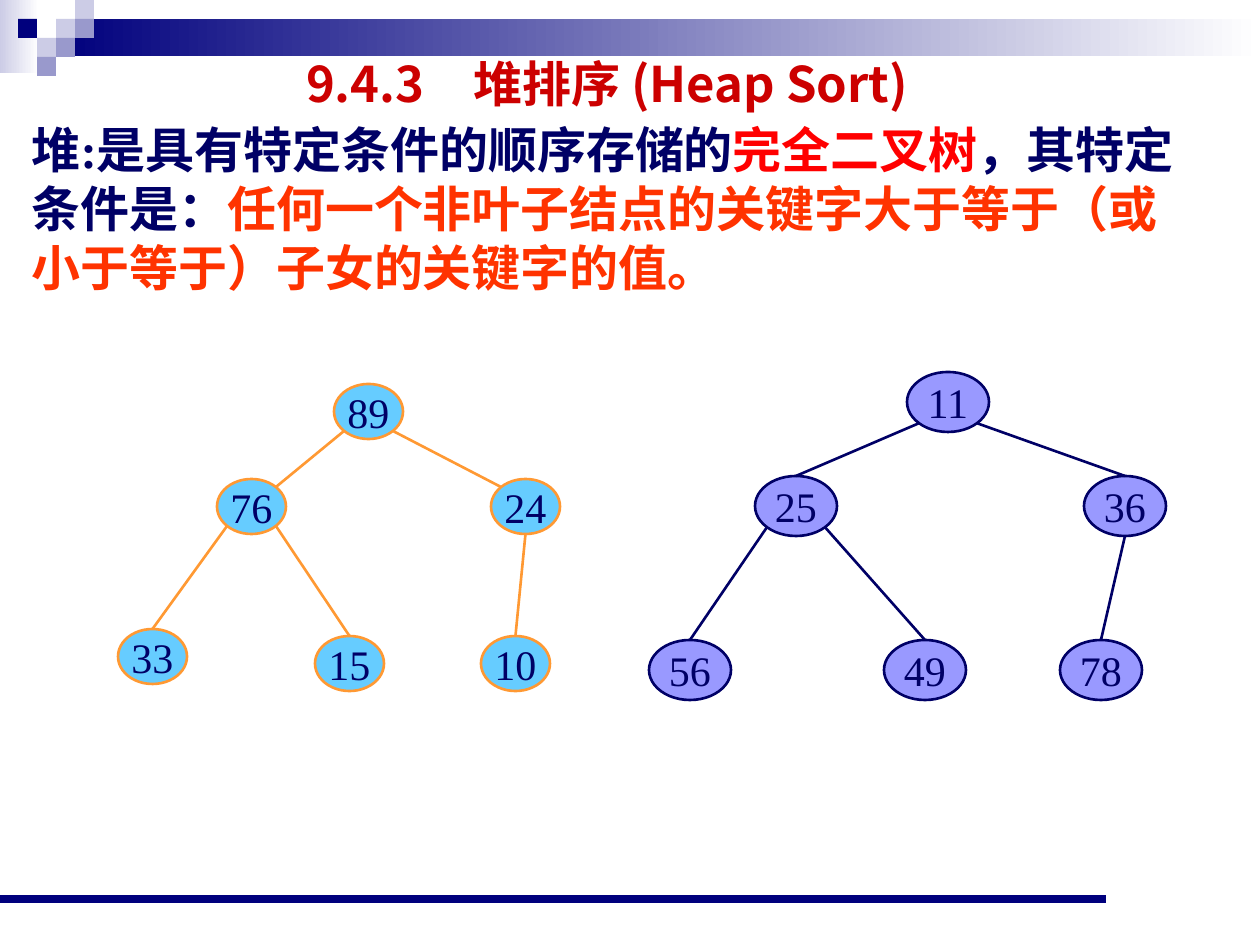
from dataclasses import dataclass
from math import sqrt

from lxml import etree
from pptx import Presentation
from pptx.dml.color import RGBColor
from pptx.enum.shapes import MSO_CONNECTOR, MSO_SHAPE
from pptx.enum.text import MSO_ANCHOR, MSO_AUTO_SIZE, PP_ALIGN
from pptx.oxml.ns import qn
from pptx.util import Emu, Pt

RECT, OVAL, STRAIGHT = MSO_SHAPE.RECTANGLE, MSO_SHAPE.OVAL, MSO_CONNECTOR.STRAIGHT
LEFT, CENTER = PP_ALIGN.LEFT, PP_ALIGN.CENTER
TOP, MIDDLE = MSO_ANCHOR.TOP, MSO_ANCHOR.MIDDLE
NO_AUTOFIT = MSO_AUTO_SIZE.NONE
PX_PER_INCH = 126


@dataclass(frozen=True)
class Theme:
    navy: str = "00007D"
    lilac: str = "CCCCE6"
    violet: str = "9999CC"
    white: str = "FFFFFF"
    ink: str = "000066"
    title: str = "CC0000"
    key_term: str = "FF0000"
    condition: str = "FF3300"
    max_fill: str = "66CCFF"
    max_line: str = "FF9933"
    min_fill: str = "9999FF"
    cjk_font: str = "Noto Sans CJK JP"
    latin_font: str = "Times New Roman"
    heading_size: float = 28
    line_pitch: float = 33.5
    node_size: float = 24
    edge_width: float = 1.5
    rule_width: float = 4.5


THEME = Theme()


def px(length):
    return Emu(round(length * 914400 / PX_PER_INCH))


def rgb(color):
    return RGBColor.from_string(color)


def add_box(slide, kind, x, y, w, h, fill, line=None):
    box = slide.shapes.add_shape(kind, px(x), px(y), px(w), px(h))
    box.shadow.inherit = False
    if isinstance(fill, tuple):
        box.fill.gradient()
        box.fill.gradient_angle = 0
        for stop, color in zip(box.fill.gradient_stops, fill):
            stop.color.rgb = rgb(color)
    else:
        box.fill.solid()
        box.fill.fore_color.rgb = rgb(fill)
    if line:
        box.line.color.rgb = rgb(line)
        box.line.width = Pt(THEME.edge_width)
    else:
        box.line.fill.background()
    return box


def add_line(slide, start, end, color, width):
    line = slide.shapes.add_connector(STRAIGHT, *map(px, (*start, *end)))
    line.line.color.rgb = rgb(color)
    line.line.width = Pt(width)
    etree.SubElement(line._element.spPr, qn("a:effectLst"))


def add_run(paragraph, text, size, color, font, bold=False):
    run = paragraph.add_run()
    run.text = text
    run.font.size = Pt(size)
    run.font.bold = bold
    run.font.name = font
    run.font.color.rgb = rgb(color)
    east_asian = etree.SubElement(run._r.get_or_add_rPr(), qn("a:ea"))
    east_asian.set("typeface", THEME.cjk_font)


def fill_placeholder(holder, box, runs, align, font):
    holder.left, holder.top, holder.width, holder.height = map(px, box)
    frame = holder.text_frame
    frame.auto_size = NO_AUTOFIT
    frame.word_wrap = True
    frame.vertical_anchor = TOP
    frame.margin_top = frame.margin_bottom = 0
    paragraph = frame.paragraphs[0]
    paragraph.alignment = align
    paragraph.line_spacing = Pt(THEME.line_pitch)
    paragraph.space_before = Pt(0)
    properties = paragraph._p.get_or_add_pPr()
    properties.set("marL", "0")
    properties.set("indent", "0")
    etree.SubElement(properties, qn("a:buNone"))
    for text, color in runs:
        add_run(paragraph, text, THEME.heading_size, color, font, bold=True)


def draw_header(slide, x, y, w):
    # Fading bands
    add_box(slide, RECT, x, y, 39, 73, (THEME.lilac, THEME.white))
    add_box(slide, RECT, x + 57, y + 19, w - 57, 37, (THEME.navy, THEME.white))
    # Mosaic squares as (column, row) on a 19 px grid
    mosaic = [(3, 1, THEME.lilac), (4, 0, THEME.lilac), (4, 1, THEME.violet),
              (2, 2, THEME.lilac), (1, 1, THEME.navy), (3, 2, THEME.violet),
              (2, 3, THEME.violet)]
    for column, row, color in mosaic:
        add_box(slide, RECT, x + 19 * column - 1, y + 19 * row, 19, 19, color)


def draw_footer(slide, x, y, w):
    add_line(slide, (x, y), (x + w, y), THEME.navy, THEME.rule_width)


def draw_text(slide, x, y, w):
    fill_placeholder(slide.shapes.title, (x, y, w, 60),
                     [("9.4.3　堆排序 (Heap Sort)", THEME.title)],
                     CENTER, THEME.cjk_font)
    definition = [
        ("堆:是具有特定条件的顺序存储的", THEME.ink),
        ("完全二叉树", THEME.key_term),
        ("，其特定条件是：", THEME.ink),
        ("任何一个非叶子结点的关键字大于等于（或小于等于）子女的关键字的值。", THEME.condition),
    ]
    fill_placeholder(slide.placeholders[1], (x, y + 66, w, 181),
                     definition, LEFT, THEME.latin_font)


def draw_heap(slide, x, y, node_box, nodes, edges, fill, line):
    w, h = node_box
    # Points on the node outline, from its centre
    diagonal_x, diagonal_y = w / sqrt(8), h / sqrt(8)
    sites = {"top": (0, -h / 2), "bottom": (0, h / 2),
             "top left": (-diagonal_x, -diagonal_y),
             "top right": (diagonal_x, -diagonal_y),
             "bottom left": (-diagonal_x, diagonal_y),
             "bottom right": (diagonal_x, diagonal_y)}

    def outline_point(key, site):
        left, top = nodes[key]
        dx, dy = sites[site]
        return x + left + w / 2 + dx, y + top + h / 2 + dy

    # Nodes
    for key, (left, top) in nodes.items():
        node = add_box(slide, OVAL, x + left, y + top, w, h, fill, line)
        frame = node.text_frame
        frame.word_wrap = False
        frame.vertical_anchor = MIDDLE
        paragraph = frame.paragraphs[0]
        paragraph.alignment = CENTER
        add_run(paragraph, str(key), THEME.node_size, THEME.ink, THEME.latin_font)
    # Edges from parent to child
    for parent, parent_site, child, child_site in edges:
        add_line(slide, outline_point(parent, parent_site),
                 outline_point(child, child_site), line, THEME.edge_width)


def main():
    deck = Presentation()
    deck.slide_width, deck.slide_height = px(1260), px(945)
    slide = deck.slides.add_slide(deck.slide_layouts[1])

    draw_header(slide, 0, 0, 1260)
    draw_footer(slide, 0, 899, 1106)
    draw_text(slide, 19, 54, 1176)

    # Max heap
    draw_heap(slide, 118, 384, (69, 55),
              {89: (216, 0), 76: (99, 95), 24: (373, 95),
               33: (0, 245), 15: (197, 252), 10: (363, 252)},
              [(89, "bottom left", 76, "top right"),
               (89, "bottom right", 24, "top left"),
               (76, "bottom left", 33, "top"),
               (76, "bottom right", 15, "top"),
               (24, "bottom", 10, "top")],
              THEME.max_fill, THEME.max_line)
    # Min heap
    draw_heap(slide, 649, 372, (82, 60),
              {11: (258, 0), 25: (106, 104), 36: (435, 104),
               56: (0, 268), 49: (235, 268), 78: (411, 268)},
              [(11, "bottom left", 25, "top"),
               (11, "bottom right", 36, "top"),
               (25, "bottom left", 56, "top"),
               (25, "bottom right", 49, "top"),
               (36, "bottom", 78, "top")],
              THEME.min_fill, THEME.ink)

    deck.save("out.pptx")


if __name__ == "__main__":
    main()
